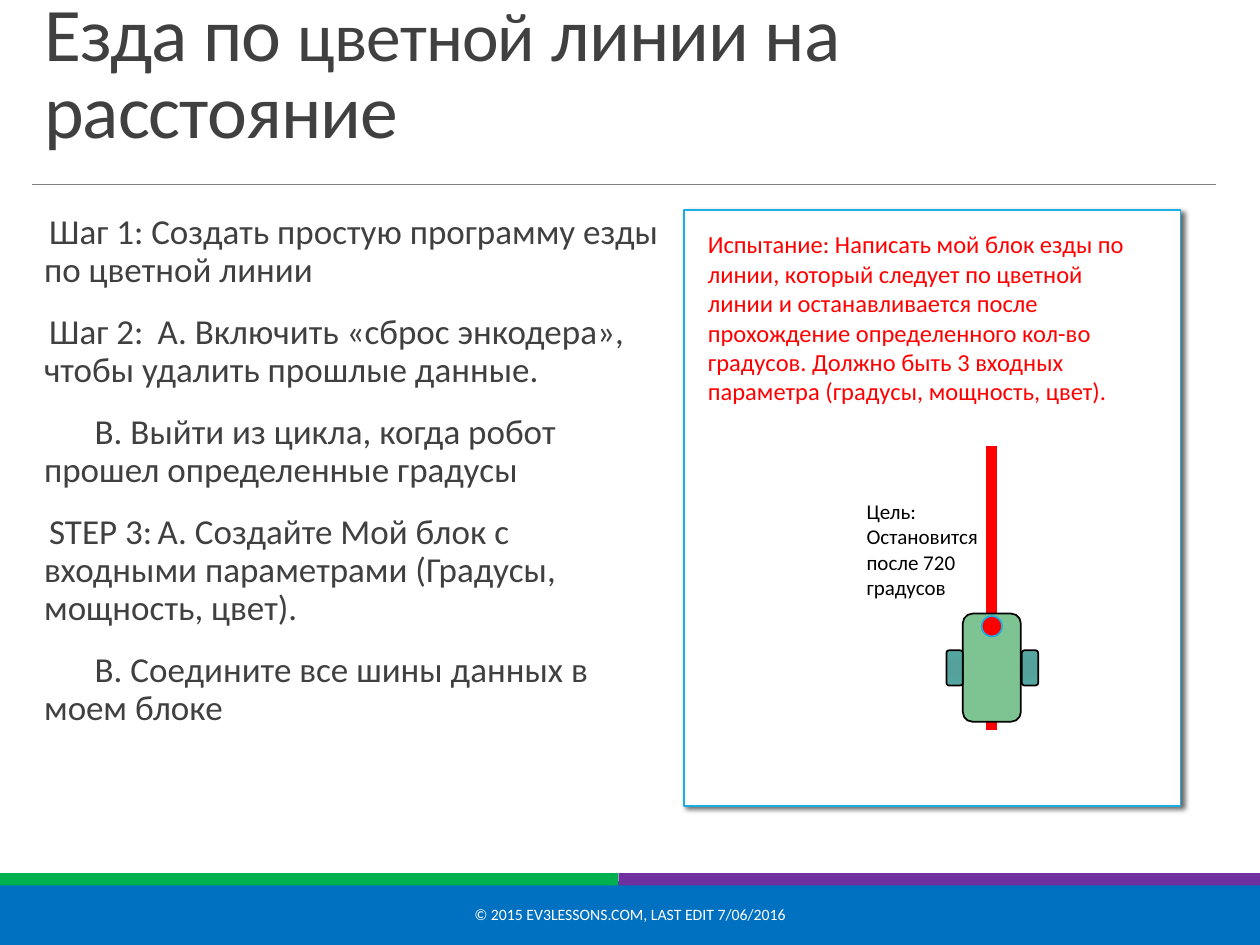
from lxml import etree
from pptx import Presentation
from pptx.dml.color import RGBColor
from pptx.enum.shapes import MSO_CONNECTOR, MSO_SHAPE
from pptx.enum.text import MSO_ANCHOR, PP_ALIGN
from pptx.oxml.ns import qn
from pptx.util import Cm, Pt

RECTANGLE = MSO_SHAPE.RECTANGLE
ROUNDED = MSO_SHAPE.ROUNDED_RECTANGLE
OVAL = MSO_SHAPE.OVAL
STRAIGHT = MSO_CONNECTOR.STRAIGHT
TOP, MIDDLE, BOTTOM = MSO_ANCHOR.TOP, MSO_ANCHOR.MIDDLE, MSO_ANCHOR.BOTTOM
CENTER = PP_ALIGN.CENTER

COLORS = {
    "white": "FFFFFF", "black": "000000", "text": "404040", "rule": "808080",
    "blue": "0070C0", "green": "00B050", "purple": "7030A0", "accent": "1CADE4",
    "red": "FF0000", "robot": "7EC492",
}
WHEEL_STOPS = {0: "52A19C", 34: "55A19C", 70: "54A5A0", 100: "5FA6A2"}
STEPS = [
    "Шаг 1: Создать простую программу езды по цветной линии",
    "Шаг 2: \tA. Включить «сброс энкодера», чтобы удалить прошлые данные.",
    "\tB. Выйти из цикла, когда робот прошел определенные градусы",
    "STEP 3:\tA. Создайте Мой блок с входными параметрами (Градусы, мощность, цвет).",
    "\tB. Соедините все шины данных в моем блоке",
]
CHALLENGE = (
    "Испытание: Написать мой блок езды по линии, который следует по цветной "
    "линии и останавливается после прохождение определенного кол-во градусов. "
    "Должно быть 3 входных параметра (градусы, мощность, цвет)."
)


def apply(target, values):
    """Set every named attribute of the target."""
    for name, value in values.items():
        setattr(target, name, value)


def add_node(parent, tag, **attributes):
    """Append a DrawingML element and return it."""
    values = {name: str(value) for name, value in attributes.items()}
    return etree.SubElement(parent, qn(tag), values)


class SlideBuilder:
    """Hold the style and the current slide."""

    font_name = "Calibri"

    def __init__(self, slide):
        """Start on the given slide."""
        self.slide = slide
        self.shapes = slide.shapes

    def color(self, name):
        """Return a palette colour."""
        return RGBColor.from_string(COLORS[name])

    def shape(self, kind, frame, fill=None, line=None, width=1, parent=None):
        """Add a preset shape."""
        shapes = (parent or self.slide).shapes
        shape = shapes.add_shape(kind, *map(Cm, frame))
        shape.shadow.inherit = False
        if fill:
            shape.fill.solid()
            shape.fill.fore_color.rgb = self.color(fill)
        if line:
            shape.line.color.rgb = self.color(line)
            shape.line.width = Pt(width)
        else:
            shape.line.fill.background()
        return shape

    def line(self, start, end, color, width):
        """Add a straight line."""
        line = self.shapes.add_connector(STRAIGHT, *map(Cm, start + end))
        line.line.color.rgb = self.color(color)
        line.line.width = Pt(width)
        add_node(line._element.spPr, "a:effectLst")

    def shadow(self, shape):
        """Give a shape a soft shadow to the lower right."""
        effects = shape._element.spPr.find(qn("a:effectLst"))
        outer = add_node(effects, "a:outerShdw", blurRad=Pt(3), dist=Pt(2),
                         dir=45 * 60000, algn="tl", rotWithShape=0)
        color = add_node(outer, "a:srgbClr", val=COLORS["black"])
        add_node(color, "a:alpha", val=60000)

    def wheel(self, frame, parent):
        """Add a robot wheel with a radial gradient."""
        wheel = self.shape(ROUNDED, frame, "robot", "black", parent=parent)
        properties = wheel._element.spPr
        solid = properties.find(qn("a:solidFill"))
        gradient = etree.Element(qn("a:gradFill"), rotWithShape="1")
        stops = add_node(gradient, "a:gsLst")
        for position, value in WHEEL_STOPS.items():
            stop = add_node(stops, "a:gs", pos=position * 1000)
            add_node(stop, "a:srgbClr", val=value)
        circle = add_node(gradient, "a:path", path="circle")
        add_node(circle, "a:fillToRect", l=100000, t=100000, r=100000, b=100000)
        properties.replace(solid, gradient)

    def text(self, frame, spans, size, color, anchor=TOP, spacing=None, **layout):
        """Add a one-paragraph text box from spans of text and size."""
        box = self.shapes.add_textbox(*map(Cm, frame))
        apply(box.text_frame, {"word_wrap": True, "vertical_anchor": anchor})
        para = box.text_frame.paragraphs[0]
        apply(para, layout)
        for words, span_size in spans:
            span = para.add_run()
            span.text = words
            apply(span.font, {"name": self.font_name, "size": Pt(span_size or size)})
            span.font.color.rgb = self.color(color)
            if spacing:
                span._r.get_or_add_rPr().set("spc", str(spacing))

    def steps(self, frame, items, size, color):
        """Add the list of steps with blank hanging bullets."""
        box = self.shapes.add_textbox(*map(Cm, frame))
        apply(box.text_frame, {"word_wrap": True, "margin_left": 0, "margin_right": 0})
        for index, item in enumerate(items):
            para = box.text_frame.paragraphs[0] if index == 0 else box.text_frame.add_paragraph()
            properties = para._p.get_or_add_pPr()
            properties.set("marL", str(Cm(0.25)))
            properties.set("indent", str(-Cm(0.25)))
            bullet_color = add_node(properties, "a:buClr")
            add_node(bullet_color, "a:srgbClr", val=COLORS["accent"])
            add_node(properties, "a:buChar", char=" ")
            apply(para, {"line_spacing": 0.9, "space_after": Pt(2),
                         "space_before": Pt(12 if index else 0)})
            span = para.add_run()
            span.text = item
            apply(span.font, {"name": self.font_name, "size": Pt(size)})
            span.font.color.rgb = self.color(color)

    def robot(self):
        """Add the robot with its wheels and colour sensor."""
        robot = self.shapes.add_group_shape()
        self.shape(ROUNDED, (19.41, 12.37, 1.17, 2.18), "robot", "black", parent=robot)
        for left in (20.6, 19.08):
            self.wheel((left, 13.11, 0.33, 0.71), robot)
        self.shape(OVAL, (19.79, 12.42, 0.41, 0.41), "red", "accent", parent=robot)


def main():
    """Build the slide and save the deck."""
    deck = Presentation()
    apply(deck, {"slide_width": Cm(25.4), "slide_height": Cm(19.05)})
    page = SlideBuilder(deck.slides.add_slide(deck.slide_layouts[6]))

    page.shape(RECTANGLE, (0, 17.78, 25.4, 1.27), "blue", "blue", 1.25)
    page.shape(RECTANGLE, (0, 17.6, 12.47, 0.25), "green")
    page.line((0.64, 3.71), (24.51, 3.71), "rule", 0.5)
    page.shape(RECTANGLE, (12.47, 17.6, 12.93, 0.25), "purple")
    panel = page.shape(RECTANGLE, (13.79, 4.24, 10.01, 12.01), "white", "accent")
    page.shadow(panel)

    title = [("Езда по ", None), ("цветной", 39.6), (" линии на расстояние", None)]
    page.text((0.64, 0.79, 23.88, 2.44), title, 43.2, "text", BOTTOM, -50, line_spacing=0.85)
    page.steps((0.64, 4.19, 12.78, 12.93), STEPS, 20, "text")
    credit = "© 2015 EV3LESSONS.COM, LAST EDIT 7/06/2016"
    page.text((7.67, 17.93, 10.06, 1.02), [(credit, None)], 9, "white", MIDDLE, alignment=CENTER)
    page.text((14.02, 4.5, 9.27, 3.84), [(CHALLENGE, None)], 14, "red")

    page.line((19.99, 14.71), (19.99, 8.99), "red", 6)
    page.robot()
    goal = "Цель: Остановится после 720 градусов"
    page.text((17.22, 9.93, 2.97, 2.31), [(goal, None)], 12, "black")

    deck.save("out.pptx")


if __name__ == "__main__":
    main()
